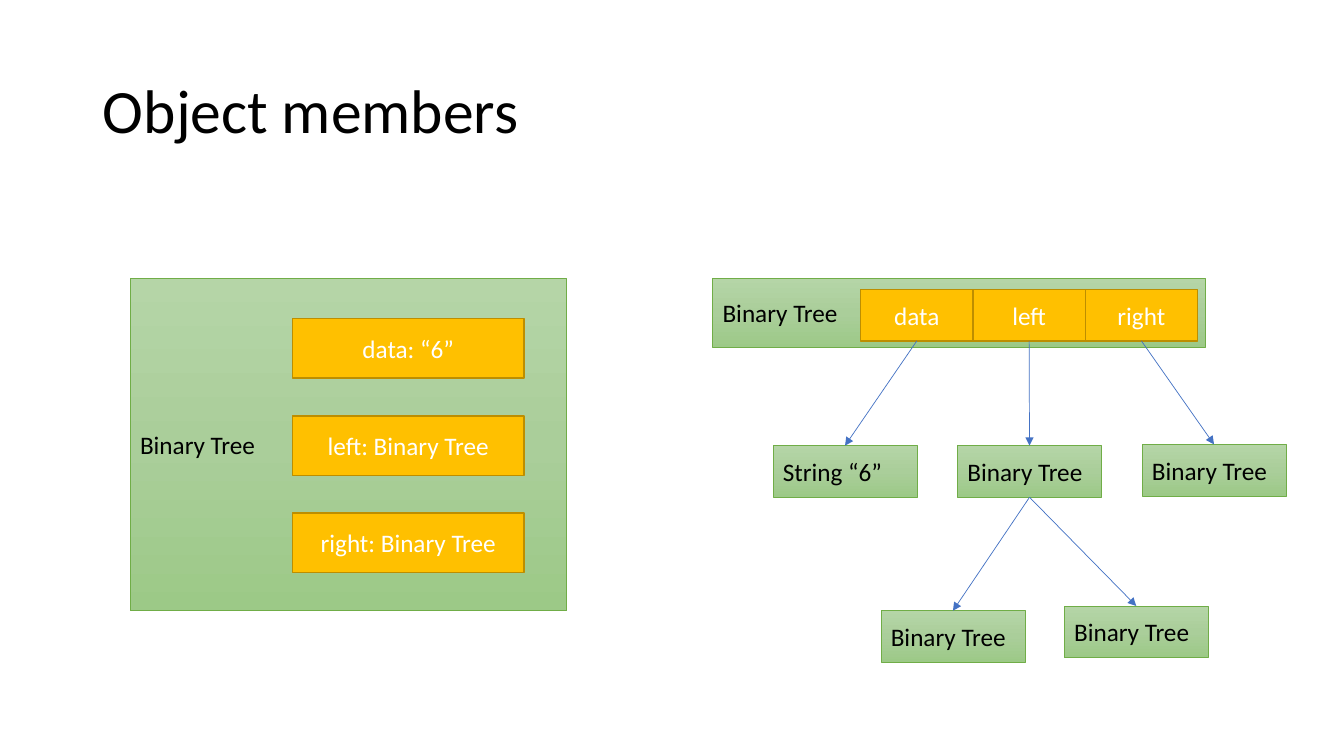
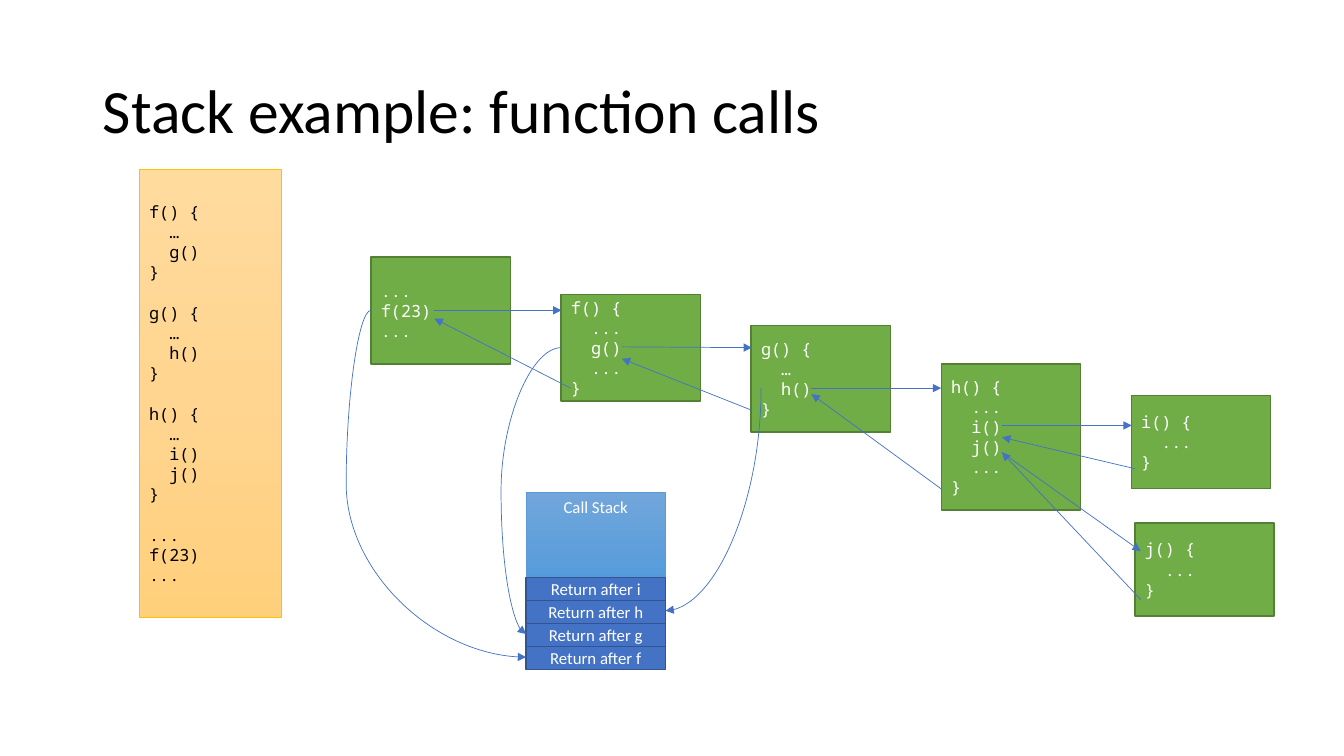
from copy import deepcopy
from dataclasses import dataclass

from lxml import etree
from pptx import Presentation
from pptx.dml.color import RGBColor
from pptx.enum.shapes import MSO_CONNECTOR, MSO_SHAPE
from pptx.enum.text import MSO_ANCHOR, MSO_AUTO_SIZE, PP_ALIGN
from pptx.oxml.ns import qn
from pptx.util import Cm, Pt

LEFT, CENTER = PP_ALIGN.LEFT, PP_ALIGN.CENTER
TOP, MIDDLE = MSO_ANCHOR.TOP, MSO_ANCHOR.MIDDLE
STRAIGHT, CURVE = MSO_CONNECTOR.STRAIGHT, MSO_CONNECTOR.CURVE
RECTANGLE = MSO_SHAPE.RECTANGLE
SITE_TOP, SITE_BOTTOM = 0, 2
TITLE_ONLY = 5


@dataclass(frozen=True)
class BoxStyle:
    """One fill colour is solid; three make a top-to-bottom gradient."""
    fills: tuple
    line: str
    line_width: float
    text: str
    size: int
    font: str = "Calibri"
    align: PP_ALIGN = LEFT
    anchor: MSO_ANCHOR = MIDDLE


@dataclass(frozen=True)
class Theme:
    title_font: str = "Calibri"
    title_size: int = 44
    title_color: str = "000000"
    arrow_color: str = "4472C4"
    arrow_width: float = 0.5
    code_gap: float = 14.5
    node: BoxStyle = BoxStyle(("B5D5A7", "AACE9A", "9CC987"), "70AD47", 0.5, "000000", 18)
    member: BoxStyle = BoxStyle(("FFC000",), "BD8E00", 1, "FFFFFF", 18, align=CENTER)
    listing: BoxStyle = BoxStyle(("FFDB9E", "FFD590", "FFD07C"), "FFC000", 0.5, "000000", 12,
                                 "Noto Sans Mono")
    frame: BoxStyle = BoxStyle(("70AD47",), "538035", 1, "FFFFFF", 12, "Noto Sans Mono")
    stack: BoxStyle = BoxStyle(("71A6DB", "559BDB", "448ACA"), "5B9BD5", 0.5, "FFFFFF", 12,
                               align=CENTER, anchor=TOP)
    stack_entry: BoxStyle = BoxStyle(("4472C4",), "325491", 1, "FFFFFF", 12, align=CENTER)


def rgb(color):
    return RGBColor.from_string(color)


def format_font(font, name, size, color):
    for attribute, value in {"name": name, "size": Pt(size)}.items():
        setattr(font, attribute, value)
    font.color.rgb = rgb(color)


class Deck:
    def __init__(self, theme):
        self.theme = theme
        self.presentation = Presentation()
        self.presentation.slide_width = Cm(33.87)
        self.presentation.slide_height = Cm(19.05)
        self.slide = None

    def add_slide(self, title):
        layout = self.presentation.slide_layouts[TITLE_ONLY]
        self.slide = self.presentation.slides.add_slide(layout)
        shape = self.slide.shapes.title
        place = {"left": 2.34, "top": 1.02, "width": 29.21, "height": 3.68}
        for attribute, value in place.items():
            setattr(shape, attribute, Cm(value))
        text_frame = shape.text_frame
        text_frame.text = title
        text_frame.auto_size = MSO_AUTO_SIZE.NONE
        text_frame.vertical_anchor = MIDDLE
        paragraph = text_frame.paragraphs[0]
        for attribute, value in {"alignment": LEFT, "line_spacing": 0.9}.items():
            setattr(paragraph, attribute, value)
        theme = self.theme
        format_font(paragraph.font, theme.title_font, theme.title_size, theme.title_color)

    def paint(self, shape, colors):
        if len(colors) == 1:
            shape.fill.solid()
            shape.fill.fore_color.rgb = rgb(colors[0])
            return
        shape.fill.gradient()
        shape.fill.gradient_angle = 270
        stop_list = shape.element.spPr.find(qn("a:gradFill")).find(qn("a:gsLst"))
        stop_list.insert(1, deepcopy(stop_list[0]))
        for stop, color, position in zip(shape.fill.gradient_stops, colors, (0, 0.5, 1)):
            stop.color.rgb = rgb(color)
            stop.position = position

    def box(self, style, left, top, width, height, *blocks):
        """Add a rectangle; a gap parts its text blocks, and each line is a paragraph."""
        shape = self.slide.shapes.add_shape(RECTANGLE, Cm(left), Cm(top), Cm(width), Cm(height))
        shape.shadow.inherit = False
        self.paint(shape, style.fills)
        shape.line.color.rgb = rgb(style.line)
        shape.line.width = Pt(style.line_width)
        text_frame = shape.text_frame
        text_frame.vertical_anchor = style.anchor
        paragraph = None
        for block in blocks:
            for index, line in enumerate(block.split("\n")):
                starts_later_block = paragraph is not None and index == 0
                paragraph = (text_frame.paragraphs[0] if paragraph is None
                             else text_frame.add_paragraph())
                paragraph.text = line
                paragraph.alignment = style.align
                if starts_later_block:
                    paragraph.space_before = Pt(self.theme.code_gap)
                format_font(paragraph.font, style.font, style.size, style.text)
        return shape

    def connector(self, kind, start, end):
        connector = self.slide.shapes.add_connector(kind, *map(Cm, start + end))
        connector.line.color.rgb = rgb(self.theme.arrow_color)
        connector.line.width = Pt(self.theme.arrow_width)
        properties = connector.element.spPr
        etree.SubElement(properties.find(qn("a:ln")), qn("a:tailEnd"), type="triangle")
        etree.SubElement(properties, qn("a:effectLst"))
        return connector

    def arrow(self, start, end):
        self.connector(STRAIGHT, start, end)

    def link(self, parent, child):
        """Join the bottom of one box to the top of another."""
        connector = self.connector(STRAIGHT, (0, 0), (1, 1))
        connector.begin_connect(parent, SITE_BOTTOM)
        connector.end_connect(child, SITE_TOP)

    def bulging_arrow(self, start, end, bend):
        """Curve out sideways, turning at the fraction bend of the width."""
        connector = self.connector(CURVE, start, end)
        adjustments = connector.element.spPr.find(qn("a:prstGeom")).find(qn("a:avLst"))
        etree.SubElement(adjustments, qn("a:gd"), name="adj1",
                         fmla=f"val {round(bend * 100000)}")

    def dropping_arrow(self, start, end):
        """Curve down first, then left: a quarter bend turned by 90 degrees."""
        center_x, center_y = (start[0] + end[0]) / 2, (start[1] + end[1]) / 2
        half_width, half_height = (end[1] - start[1]) / 2, (start[0] - end[0]) / 2
        connector = self.connector(CURVE, (center_x - half_width, center_y - half_height),
                                   (center_x + half_width, center_y + half_height))
        properties = connector.element.spPr
        properties.find(qn("a:xfrm")).set("rot", "5400000")
        properties.find(qn("a:prstGeom")).set("prst", "curvedConnector2")


def add_members_slide(deck):
    theme = deck.theme
    deck.add_slide("Object members")

    deck.box(theme.node, 3.28, 7.01, 11, 8.38, "Binary Tree")
    for index, text in enumerate(("data: “6”", "left: Binary Tree", "right: Binary Tree")):
        deck.box(theme.member, 7.37, 8.03 + 2.45 * index, 5.84, 1.5, text)

    deck.box(theme.node, 17.96, 7.01, 12.42, 1.75, "Binary Tree")
    data, left, right = [
        deck.box(theme.member, 21.69 + 2.83 * index, 7.29, 2.83, 1.3, text)
        for index, text in enumerate(("data", "left", "right"))]

    def node(x, y, text="Binary Tree"):
        return deck.box(theme.node, x, y, 3.63, 1.3, text)

    left_tree = node(24.13, 11.23)
    links = ((data, node(19.48, 11.23, "String “6”")),
             (left, left_tree),
             (right, node(28.78, 11.2)),
             (left_tree, node(22.2, 15.39)),
             (left_tree, node(26.82, 15.27)))
    for parent, child in links:
        deck.link(parent, child)


def add_stack_slide(deck):
    theme = deck.theme
    deck.add_slide("Stack example: function calls")

    deck.box(theme.listing, 3.51, 4.27, 3.58, 11.28,
             "f() {\n  …\n  g()\n}",
             "g() {\n  …\n  h()\n}",
             "h() {\n  …\n  i()\n  j()\n}",
             "...\nf(23)\n...")

    box_width = 3.51
    frames = ((6.48, 2.69, "...\nf(23)\n..."),
              (7.42, 2.69, "f() {\n  ...\n  g()\n  ...\n}"),
              (8.2, 2.69, "g() {\n  …\n  h()\n}"),
              (9.17, 3.68, "h() {\n  ...\n  i()\n  j()\n  ...\n}"),
              (9.97, 2.34, "i() {\n  ...\n}"))
    for index, (top, height, code) in enumerate(frames):
        deck.box(theme.frame, 9.35 + 4.79 * index, top, box_width, height, code)
    deck.box(theme.frame, 28.6, 13.18, box_width, 2.34, "j() {\n  ...\n}")

    stack_left = 13.26
    deck.box(theme.stack, stack_left, 12.4, box_width, 4.45, "Call Stack")
    for index, name in enumerate("ihgf"):
        deck.box(theme.stack_entry, stack_left, 14.55 + 0.58 * index, box_width, 0.58,
                 f"Return after {name}")

    calls_and_returns = (
        ((10.95, 7.82), (14.15, 7.82)), ((14.38, 9.78), (10.95, 8.03)),
        ((15.67, 8.74), (18.95, 8.76)), ((18.95, 10.34), (15.67, 9.04)),
        ((20.45, 9.78), (23.72, 9.78)), ((23.72, 12.32), (20.45, 9.93)),
        ((25.25, 10.72), (28.52, 10.72)), ((28.6, 11.81), (25.25, 11.02)),
        ((25.25, 11.4), (28.75, 13.89)), ((28.75, 15.11), (25.25, 11.4)))
    for start, end in calls_and_returns:
        deck.arrow(start, end)
    deck.bulging_arrow((9.35, 7.82), (stack_left, 16.56), -0.16)
    deck.bulging_arrow((14.15, 8.76), (stack_left, 15.98), 1.71)
    deck.dropping_arrow((19.18, 9.78), (stack_left + box_width, 15.39))


def main():
    deck = Deck(Theme())
    add_members_slide(deck)
    add_stack_slide(deck)
    deck.presentation.save("out.pptx")


if __name__ == "__main__":
    main()
